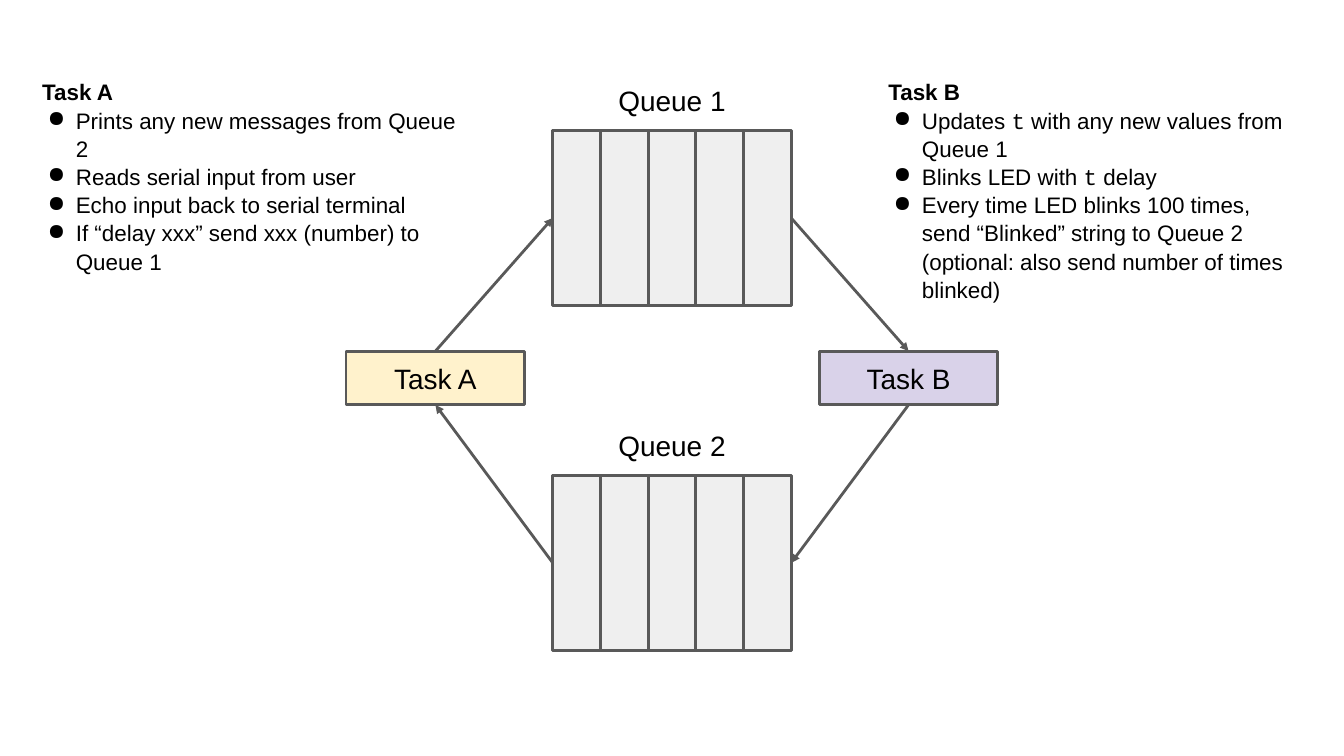
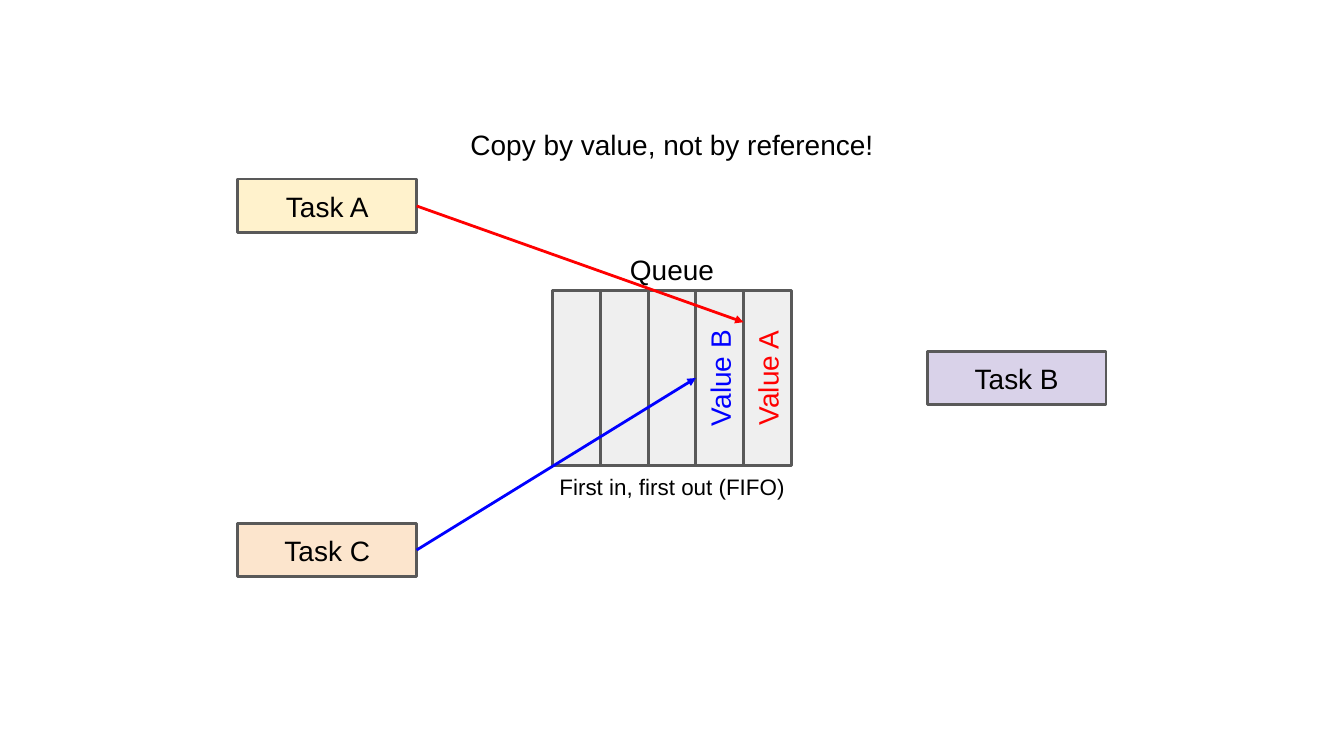
import pptx
import pptx.dml.color
import pptx.enum.shapes
import pptx.enum.text
import pptx.oxml
import pptx.oxml.ns
import pptx.util
from lxml import etree

INK = {
    "text": "000000", "line": "595959", "slot": "EFEFEF",
    "Task A": "FFF2CC", "Task B": "D9D2E9", "Task C": "FCE5CD",
    "red": "FF0000", "blue": "0000FF",
}
WIDE, HIGH = 20, 11.25
MIDX, MIDY = WIDE / 2, HIGH / 2
TASK = (2.66, 0.8)
SLOT = (2.61, 0.71)
SLOTS = 5
TOP, LEFT, BOTTOM, RIGHT = range(4)
BIG, SMALL = 30, 24

# Offsets are measured from the centre of the slide; backticks mark code.
LOOP = {
    "tasks": {"Task A": (-3.52, 0), "Task B": (3.52, 0)},
    "queues": {"Queue 1": -2.38, "Queue 2": 2.75},
    "links": [
        ("Task A", TOP, "Queue 1", LEFT),
        ("Queue 1", RIGHT, "Task B", TOP),
        ("Task B", BOTTOM, "Queue 2", RIGHT),
        ("Queue 2", LEFT, "Task A", BOTTOM),
    ],
    "notes": [
        (0.53, 3.03, "Task A", [
            "Prints any new messages from Queue 2",
            "Reads serial input from user",
            "Echo input back to serial terminal",
            "If “delay xxx” send xxx (number) to Queue 1",
        ]),
        (13.12, 3.43, "Task B", [
            "Updates `t` with any new values from Queue 1",
            "Blinks LED with `t` delay",
            "Every time LED blinks 100 times, send “Blinked” string to "
            "Queue 2 (optional: also send number of times blinked)",
        ]),
    ],
}
COPY = {
    "tasks": {"Task A": (-5.13, -2.56), "Task C": (-5.13, 2.56),
              "Task B": (5.13, 0)},
    "values": {3: ("Value B", "blue"), 4: ("Value A", "red")},
    "labels": [
        ("Queue", -1.62, 2.28, 0.71, BIG),
        ("First in, first out (FIFO)", 1.62, 3.95, 0.71, SMALL),
        ("Copy by value, not by reference!", -3.48, 7.35, 1.02, BIG),
    ],
}


def inch(*nums):
    return [pptx.util.Inches(num) for num in nums]


def color(name):
    return pptx.dml.color.RGBColor.from_string(INK[name])


def write(para, text, size=BIG, ink="text", bold=False):
    """Add text to a paragraph, with parts between backticks as code."""
    for i, part in enumerate(text.split("`")):
        run = para.add_run()
        run.text = part
        run.font.name = "Courier New" if i % 2 else "Arial"
        run.font.size = pptx.util.Pt(size)
        run.font.bold = bold
        run.font.color.rgb = color(ink)


def pad(frame):
    frame.word_wrap = True
    frame.margin_left, frame.margin_right = inch(0.1, 0.1)
    frame.margin_top, frame.margin_bottom = inch(0.1, 0.1)


def center(shape, text, **form):
    frame = shape.text_frame
    pad(frame)
    frame.vertical_anchor = pptx.enum.text.MSO_ANCHOR.MIDDLE
    para = frame.paragraphs[0]
    para.alignment = pptx.enum.text.PP_ALIGN.CENTER
    write(para, text, **form)


def place(x, y, size):
    """Turn a centre and a size into left, top, width and height."""
    wide, high = size
    return inch(x - wide / 2, y - high / 2, wide, high)


def box(slide, x, y, size, fill):
    shape = slide.shapes.add_shape(
        pptx.enum.shapes.MSO_SHAPE.RECTANGLE, *place(x, y, size))
    shape.shadow.inherit = False
    shape.fill.solid()
    shape.fill.fore_color.rgb = color(fill)
    shape.line.color.rgb = color("line")
    shape.line.width = pptx.util.Pt(3)
    return shape


def label(slide, text, y, wide, high, size):
    area = slide.shapes.add_textbox(*place(MIDX, y, (wide, high)))
    center(area, text, size=size)


def tasks(slide, spots):
    made = {}
    for name, (x, y) in spots.items():
        made[name] = box(slide, MIDX + x, MIDY + y, TASK, name)
        center(made[name], name)
    return made


def queue(slide, y, values=None):
    """Draw a row of upright slots, some of them holding a value."""
    slots = []
    for i in range(SLOTS):
        x = MIDX + (i - (SLOTS - 1) / 2) * SLOT[1]
        slot = box(slide, x, y, SLOT, "slot")
        slot.rotation = 270
        if values and i in values:
            text, ink = values[i]
            center(slot, text, ink=ink)
        slots.append(slot)
    return slots


def port(shape, side):
    """Return the middle of a side as seen, also on a turned shape."""
    x, y = shape.left + shape.width // 2, shape.top + shape.height // 2
    wide, high = shape.width // 2, shape.height // 2
    if shape.rotation:
        wide, high = high, wide
    return [(x, y - high), (x - wide, y), (x, y + high), (x + wide, y)][side]


def site(shape, side):
    """Return the joint that shows on this side of the shape."""
    return (side - 1) % 4 if shape.rotation else side


def arrow(slide, tail, out, head, into, ink="line", lift=0):
    """Join two shapes; with a lift, end above the side's middle, unjoined."""
    start, (x, y) = port(tail, out), port(head, into)
    y -= pptx.util.Inches(lift)
    link = slide.shapes.add_connector(
        pptx.enum.shapes.MSO_CONNECTOR.STRAIGHT, *start, x, y)
    link.begin_connect(tail, site(tail, out))
    if not lift:
        link.end_connect(head, site(head, into))
    link.begin_x, link.begin_y = start
    link.end_x, link.end_y = x, y
    link.line.color.rgb = color(ink)
    link.line.width = pptx.util.Pt(3)
    qn = pptx.oxml.ns.qn
    etree.SubElement(link.line._get_or_add_ln(), qn("a:tailEnd"),
                     type="triangle")
    etree.SubElement(link._element.spPr, qn("a:effectLst"))


def bullet(para):
    props = para._p.get_or_add_pPr()
    props.set("marL", str(pptx.util.Inches(0.5)))
    props.set("indent", str(pptx.util.Inches(-0.42)))
    etree.SubElement(props, pptx.oxml.ns.qn("a:buChar"), char="●")


def note(slide, x, high, head, items):
    area = slide.shapes.add_textbox(*inch(x, 1.05, 6.35, high))
    frame = area.text_frame
    pad(frame)
    frame.auto_size = pptx.enum.text.MSO_AUTO_SIZE.SHAPE_TO_FIT_TEXT
    write(frame.paragraphs[0], head, size=SMALL, bold=True)
    for item in items:
        para = frame.add_paragraph()
        write(para, item, size=SMALL)
    for i, para in enumerate(frame.paragraphs):
        para.line_spacing = 1.05
        if i:
            bullet(para)


def loop(slide):
    ends = tasks(slide, LOOP["tasks"])
    rows = {}
    for name, y in LOOP["queues"].items():
        rows[name] = queue(slide, MIDY + y)
        label(slide, name, MIDY + y - 1.75, 2.41, 0.89, BIG)
    for data in LOOP["notes"]:
        note(slide, *data)

    def find(name, side):
        if name in ends:
            return ends[name]
        return rows[name][0 if side == LEFT else -1]

    for tail, out, head, into in LOOP["links"]:
        arrow(slide, find(tail, out), out, find(head, into), into)


def copies(slide):
    ends = tasks(slide, COPY["tasks"])
    slots = queue(slide, MIDY, COPY["values"])
    for text, y, wide, high, size in COPY["labels"]:
        label(slide, text, MIDY + y, wide, high, size)
    arrow(slide, ends["Task C"], RIGHT, slots[3], LEFT, "blue")
    arrow(slide, ends["Task A"], RIGHT, slots[4], LEFT, "red", lift=0.83)


def main():
    deck = pptx.Presentation()
    deck.slide_width, deck.slide_height = inch(WIDE, HIGH)
    for draw in (loop, copies):
        draw(deck.slides.add_slide(deck.slide_layouts[6]))
    deck.save("out.pptx")


if __name__ == "__main__":
    main()
